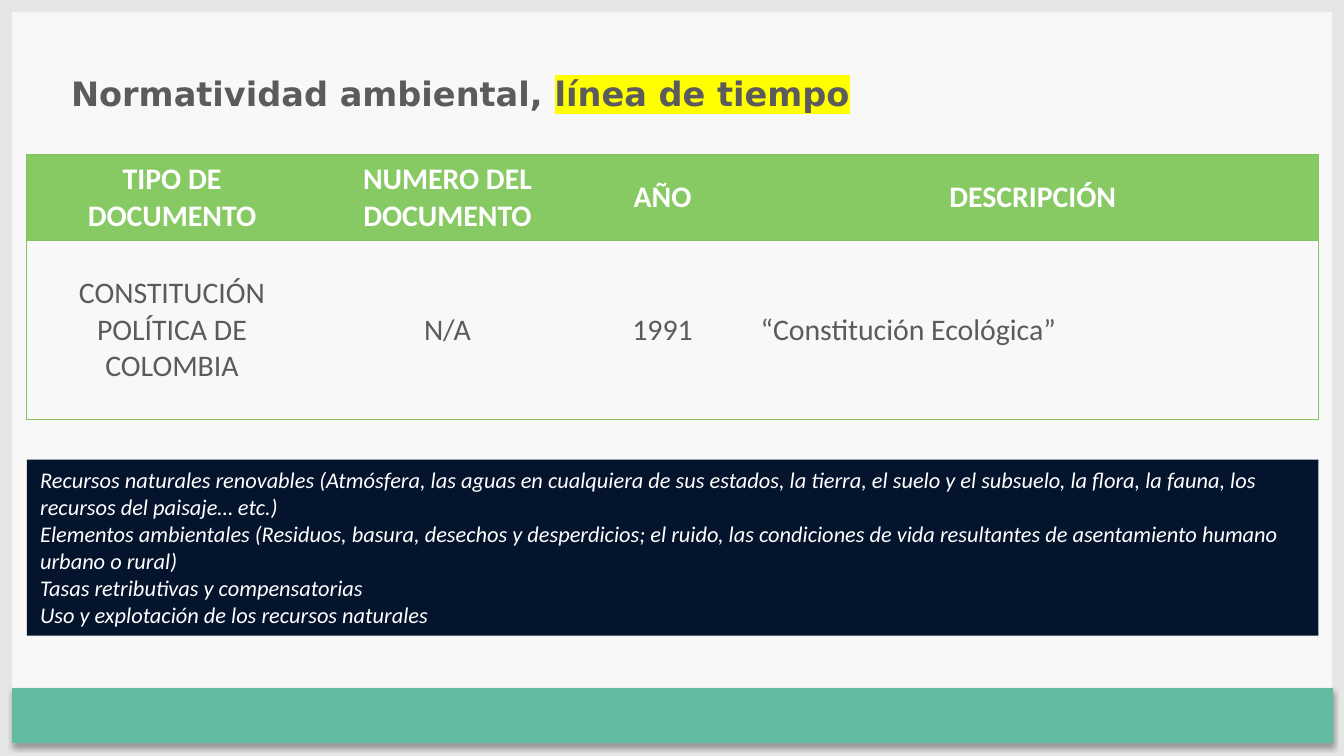
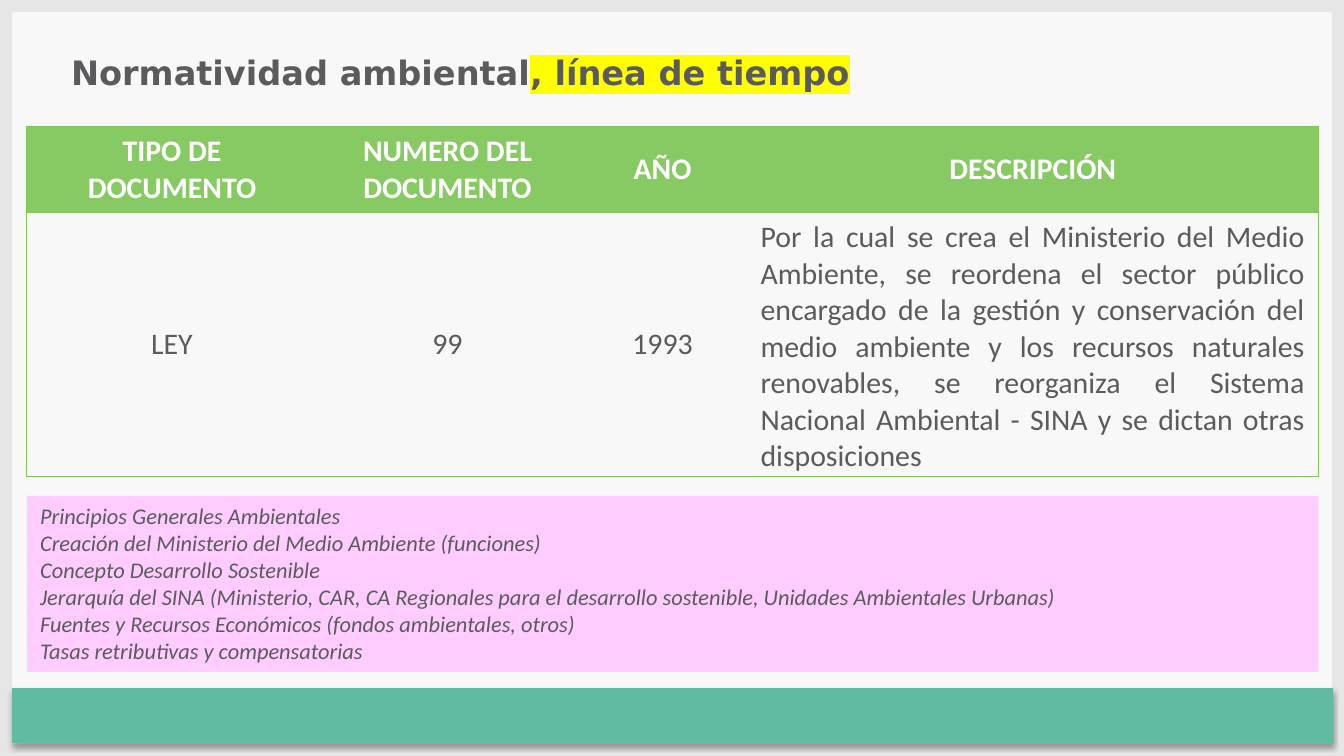
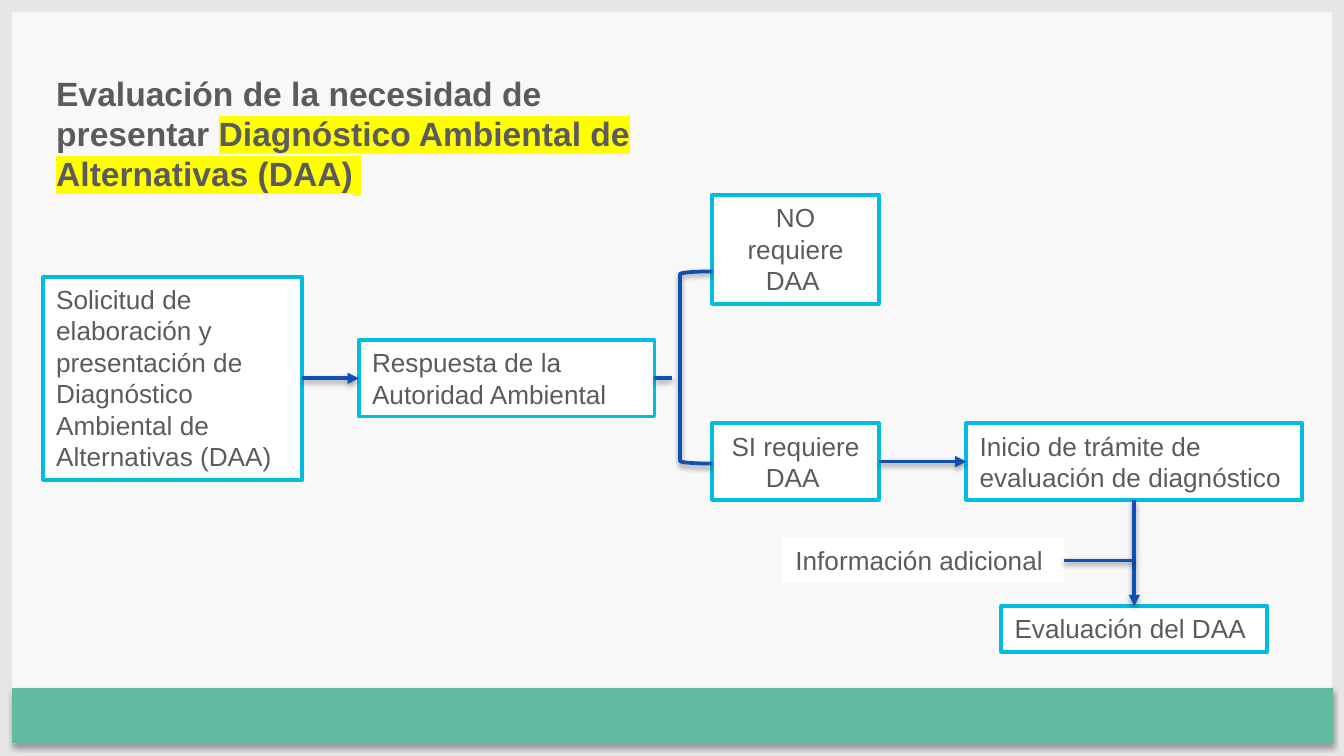
from lxml import etree
from pptx import Presentation
from pptx import util as u
from pptx.dml.color import RGBColor
from pptx.enum import shapes, text
from pptx.oxml.ns import qn

# Grid: 100 columns by 56.25 rows, one cell is a tenth of an inch
COLS, ROWS = 100, 56.25
CELL = u.Inches(0.1)

# Shared colours
PAPER, EDGE, BAND = "F8F8F8", "E6E6E6", "61BBA2"
INK, WHITE, MARK = "5B5B5E", "FFFFFF", "FFFF00"
HEAD, RULE = "87C962", "82C55B"
CYAN, BLUE, NAVY, PINK = "00BCE5", "104FB3", "04142D", "FFCCFF"

# Shared table layout
LEFT, WIDE = 2, 96.1
WIDTHS = [21.6, 19.4, 12.6, 42.5]
NAMES = ["TIPO DE DOCUMENTO", "NUMERO DEL DOCUMENTO", "AÑO", "DESCRIPCIÓN"]
TOP_ROW = 6.4

LEAD, MID, JUST = (text.PP_ALIGN.LEFT, text.PP_ALIGN.CENTER,
                   text.PP_ALIGN.JUSTIFY)
RIGHT_SIDE, LEFT_SIDE, TOP, BOTTOM = 3, 1, 0, 2


def hue(code):
    return RGBColor.from_string(code)


def grid(*cells):
    return [round(n * CELL) for n in cells]


def node(parent, tag, **attrs):
    return etree.SubElement(parent, qn(tag), attrs)


def paint(item, fill):
    item.fill.solid()
    item.fill.fore_color.rgb = hue(fill)


def stroke(item, color):
    item.line.color.rgb = hue(color)
    item.line.width = u.Pt(2)


def shade(item, alpha, dist):
    """Soft shadow straight below the item."""
    props = item.element.spPr
    for old in props.findall(qn("a:effectLst")):
        props.remove(old)
    cast = node(node(props, "a:effectLst"), "a:outerShdw",
                blurRad=str(u.Pt(3.1)), dist=str(u.Pt(dist)),
                dir="5400000", algn="t", rotWithShape="0")
    tint = node(cast, "a:srgbClr", val="000000")
    node(tint, "a:alpha", val=str(alpha * 1000))


def style(run, size, face, color=INK, bold=False, slant=False, mark=False):
    font = run.font
    font.size, font.name = u.Pt(size), face
    font.bold, font.italic = bold, slant
    font.color.rgb = hue(color)
    if mark:
        light = etree.Element(qn("a:highlight"))
        node(light, "a:srgbClr", val=MARK)
        run._r.get_or_add_rPr().find(qn("a:solidFill")).addnext(light)


def plate(slide, x, y, w, h, fill=None, kind=shapes.MSO_SHAPE.RECTANGLE):
    item = slide.shapes.add_shape(kind, *grid(x, y, w, h))
    item.shadow.inherit = False
    item.line.fill.background()
    if fill:
        paint(item, fill)
    else:
        item.fill.background()
    return item


def write(item, lines, aligns, wrap=True, **look):
    frame = item.text_frame
    frame.word_wrap = wrap
    frame.auto_size = text.MSO_AUTO_SIZE.SHAPE_TO_FIT_TEXT
    frame.vertical_anchor = text.MSO_ANCHOR.TOP
    frame.text = "\n".join(lines)
    for para, align in zip(frame.paragraphs, aligns):
        para.alignment = align
        style(para.runs[0], **look)


def start(deck):
    """Blank slide with the grey edges and the green band."""
    slide = deck.slides.add_slide(deck.slide_layouts[6])
    thin = 0.9
    for spot in [(0, 0, COLS, thin), (0, ROWS - thin, COLS, thin),
                 (0, 0, thin, ROWS), (COLS - thin, 0, thin, ROWS)]:
        plate(slide, *spot, EDGE)
    shade(plate(slide, 0.9, 51.2, 98.3, 4.1, BAND), 35, 1.8)
    return slide


def title(slide, x, y, w, h, plain, marked, face, tail=""):
    frame = slide.shapes.add_textbox(*grid(x, y, w, h)).text_frame
    frame.word_wrap = True
    frame.auto_size = text.MSO_AUTO_SIZE.SHAPE_TO_FIT_TEXT
    para = frame.paragraphs[0]
    parts = [(plain, face, True, False), (marked, face, True, True),
             (tail, "Calibri", False, True)]
    for words, name, bold, mark in parts:
        if words:
            run = para.add_run()
            run.text = words
            style(run, 18, name, bold=bold, mark=mark)


def border(cell, sides):
    props = cell._tc.get_or_add_tcPr()
    for spot, side in enumerate(s for s in "LRTB" if s in sides):
        line = etree.Element(qn("a:ln" + side), w=str(u.Pt(0.75)))
        node(node(line, "a:solidFill"), "a:srgbClr", val=RULE)
        props.insert(spot, line)


def norm(slide, y, h, values):
    """Table with one header row and one norm below it."""
    frame = slide.shapes.add_table(
        2, len(NAMES), *grid(LEFT, y, WIDE, TOP_ROW + h))
    table = frame.table
    table.first_row = table.horz_banding = False
    for tag in frame.element.iter(qn("a:tableStyleId")):
        tag.text = "{2D5ABB26-0587-4C30-8999-92F81FD0307C}"
    for col, width in zip(table.columns, grid(*WIDTHS)):
        col.width = width
    for row, height in zip(table.rows, grid(TOP_ROW, h)):
        row.height = height
    last = len(NAMES) - 1
    for r, words in enumerate([NAMES, values]):
        for c, word in enumerate(words):
            cell = table.cell(r, c)
            cell.text = word
            cell.vertical_anchor = text.MSO_ANCHOR.MIDDLE
            para = cell.text_frame.paragraphs[0]
            para.alignment = JUST if r and c == last else MID
            style(para.runs[0], 16, "Calibri", INK if r else WHITE,
                  bold=not r)
            if r:
                cell.fill.background()
            else:
                paint(cell, HEAD)
            ends = {0: "L", last: "R"}.get(c, "")
            border(cell, ends + ("TB" if r else "T"))


def notes(slide, y, fill, color, lines, just=0):
    """Filled panel of remarks; the last few may be justified."""
    aligns = [LEAD] * (len(lines) - just) + [JUST] * just
    write(plate(slide, LEFT, y, WIDE, 13.1, fill), lines, aligns,
          size=12, face="Calibri", color=color, slant=True)


def step(slide, x, y, w, h, words, align=LEAD, wrap=True, edge=True):
    item = plate(slide, x, y, w, h, WHITE)
    if edge:
        stroke(item, CYAN)
    write(item, [words], [align], wrap, size=14, face="Arial")
    return item


def link(slide, src, side, goal, arrow=True):
    """Line from a box side to a (box, side) pair or a grid point."""
    line = slide.shapes.add_connector(
        shapes.MSO_CONNECTOR.STRAIGHT, 0, 0, 0, 0)
    line.begin_connect(src, side)
    if isinstance(goal[0], (int, float)):
        line.end_x, line.end_y = grid(*goal)
    else:
        line.end_connect(*goal)
    stroke(line, BLUE)
    if arrow:
        node(line.line._get_or_add_ln(), "a:tailEnd", type="triangle")
    shade(line, 38, 1.6)


def charter(deck):
    slide = start(deck)
    title(slide, 4.3, 4.9, 91.1, 4, "Normatividad ambiental, ",
          "línea de tiempo", "DejaVu Sans")
    norm(slide, 11.5, 13.3, ["CONSTITUCIÓN POLÍTICA DE COLOMBIA", "N/A",
                             "1991", "“Constitución Ecológica”"])
    notes(slide, 34.2, NAVY, WHITE, [
        "Recursos naturales renovables (Atmósfera, las aguas en cualquiera "
        "de sus estados, la tierra, el suelo y el subsuelo, la flora, la "
        "fauna, los recursos del paisaje… etc.)",
        "Elementos ambientales (Residuos, basura, desechos y desperdicios; "
        "el ruido, las condiciones de vida resultantes de asentamiento "
        "humano urbano o rural)",
        "Tasas retributivas y compensatorias",
        "Uso y explotación de los recursos naturales"])


def law(deck):
    slide = start(deck)
    title(slide, 4.3, 3.4, 91.1, 4, "Normatividad ambiental",
          ", línea de tiempo", "DejaVu Sans")
    norm(slide, 9.4, 19.6, [
        "LEY", "99", "1993",
        "Por la cual se crea el Ministerio del Medio Ambiente, se reordena "
        "el sector público encargado de la gestión y conservación del medio "
        "ambiente y los recursos naturales renovables, se reorganiza el "
        "Sistema Nacional Ambiental - SINA y se dictan otras disposiciones"])
    notes(slide, 36.9, PINK, INK, [
        "Principios Generales Ambientales",
        "Creación del Ministerio del Medio Ambiente (funciones)",
        "Concepto Desarrollo Sostenible",
        "Jerarquía del SINA (Ministerio, CAR, CA Regionales para el "
        "desarrollo sostenible, Unidades Ambientales Urbanas)",
        "Fuentes y Recursos Económicos (fondos ambientales, otros)",
        "Tasas retributivas y compensatorias"], just=3)


def flow(deck):
    slide = start(deck)
    title(slide, 3.2, 4.9, 50, 10.1,
          "Evaluación de la necesidad de presentar ",
          "Diagnóstico Ambiental de Alternativas (DAA)", "Arial", " ")
    # Steps
    ask = step(slide, 3.2, 20.6, 19.3, 15.1,
               "Solicitud de elaboración y presentación de Diagnóstico "
               "Ambiental de Alternativas (DAA)")
    reply = step(slide, 26.7, 25.3, 22, 5.7,
                 "Respuesta de la Autoridad Ambiental")
    yes = step(slide, 53, 31.5, 12.4, 5.7, "SI requiere DAA ", MID)
    step(slide, 53, 14.5, 12.4, 8.1, "NO requiere DAA ", MID)
    begin = step(slide, 71.9, 31.5, 25, 5.7,
                 "Inicio de trámite de evaluación de diagnóstico")
    extra = step(slide, 58.2, 40, 21, 3.4, "Información adicional",
                 wrap=False, edge=False)
    review = step(slide, 74.5, 45.1, 19.8, 3.4, "Evaluación del DAA",
                  wrap=False)
    # Links
    link(slide, ask, RIGHT_SIDE, (reply, LEFT_SIDE))
    fork = plate(slide, 50.6, 20.2, 2.4, 14.3,
                 kind=shapes.MSO_SHAPE.LEFT_BRACKET)
    stroke(fork, BLUE)
    shade(fork, 38, 1.6)
    link(slide, reply, RIGHT_SIDE, (50, 28.15), arrow=False)
    link(slide, yes, RIGHT_SIDE, (begin, LEFT_SIDE))
    link(slide, begin, BOTTOM, (review, TOP))
    link(slide, extra, RIGHT_SIDE, (84.4, 41.7), arrow=False)


def main():
    deck = Presentation()
    deck.slide_width, deck.slide_height = grid(COLS, ROWS)
    paint(deck.slide_master.background, PAPER)
    for build in (charter, law, flow):
        build(deck)
    deck.save("out.pptx")


if __name__ == "__main__":
    main()
